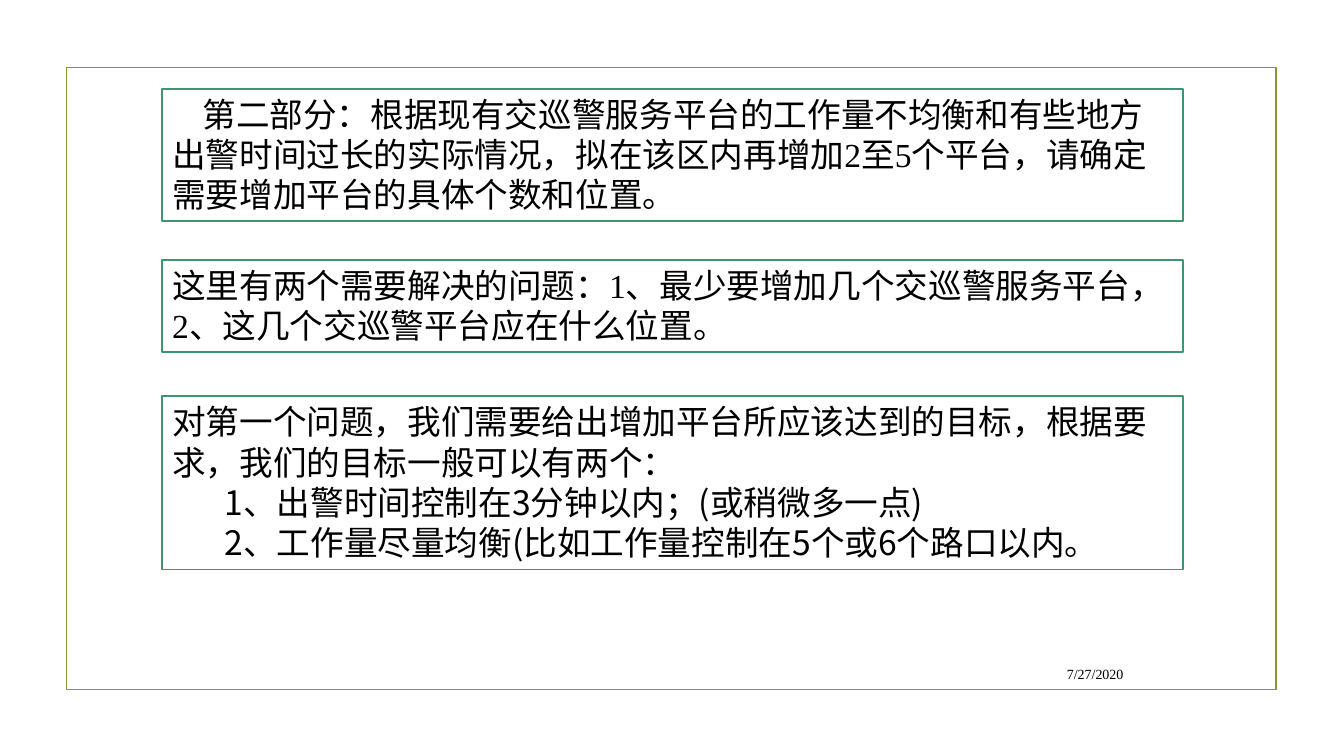
from dataclasses import dataclass

from lxml.etree import SubElement
from pptx import Presentation
from pptx.dml.color import RGBColor
from pptx.enum.shapes import MSO_SHAPE
from pptx.enum.text import MSO_ANCHOR, PP_ALIGN
from pptx.oxml.ns import qn
from pptx.util import Inches, Pt


@dataclass(frozen=True)
class Theme:
    frame: RGBColor = RGBColor.from_string("83992A")
    border: RGBColor = RGBColor.from_string("3C9770")
    paper: RGBColor = RGBColor.from_string("FFFFFF")
    ink: RGBColor = RGBColor.from_string("000000")
    serif: str = "Times New Roman"
    sans: str = "Noto Sans CJK JP"
    body_size: float = 24
    date_size: float = 10
    line_width: float = 1.25


THEME = Theme()
PANEL_LEFT, PANEL_WIDTH = 1.61, 10.12

# Each panel: top, height, Latin font, paragraphs as (first-line indent, text)
PANELS = [
    (0.88, 1.31, THEME.serif, [
        (0.3, "第二部分：根据现有交巡警服务平台的工作量不均衡和有些地方出警时间过长的实际情况，"
              "拟在该区内再增加2至5个平台，请确定需要增加平台的具体个数和位置。"),
    ]),
    (2.58, 0.91, THEME.serif, [
        (0, "这里有两个需要解决的问题：1、最少要增加几个交巡警服务平台，"
            "2、这几个交巡警平台应在什么位置。"),
    ]),
    (3.93, 1.72, THEME.sans, [
        (0, "对第一个问题，我们需要给出增加平台所应该达到的目标，根据要求，"
            "我们的目标一般可以有两个："),
        (0.52, "1、出警时间控制在3分钟以内；(或稍微多一点)"),
        (0.52, "2、工作量尽量均衡(比如工作量控制在5个或6个路口以内。"),
    ]),
]


def style_run(r, font, size):
    r.font.name = font
    r.font.size = Pt(size)
    r.font.color.rgb = THEME.ink
    SubElement(r.font._element, qn("a:ea")).set("typeface", THEME.sans)


def add_outlined_box(s, left, top, width, height, color):
    sp = s.shapes.add_shape(MSO_SHAPE.RECTANGLE, Inches(left), Inches(top),
                            Inches(width), Inches(height))
    sp.shadow.inherit = False
    sp.line.color.rgb = color
    sp.line.width = Pt(THEME.line_width)
    return sp


def add_frame(s, left, top, width, height):
    sp = add_outlined_box(s, left, top, width, height, THEME.frame)
    sp.fill.background()


def add_panel(s, left, top, width, height, font, paragraphs):
    sp = add_outlined_box(s, left, top, width, height, THEME.border)
    sp.fill.solid()
    sp.fill.fore_color.rgb = THEME.paper
    tf = sp.text_frame
    tf.word_wrap = True
    tf.vertical_anchor = MSO_ANCHOR.TOP
    tf.text = "\n".join(text for _, text in paragraphs)
    for p, (indent, _) in zip(tf.paragraphs, paragraphs):
        p.alignment = PP_ALIGN.LEFT
        pPr = p._p.get_or_add_pPr()
        pPr.set("marL", "0")
        pPr.set("indent", str(Inches(indent)))
        style_run(p.runs[0], font, THEME.body_size)


def add_date(s, left, top, width, height):
    sp = s.shapes.add_textbox(Inches(left), Inches(top), Inches(width), Inches(height))
    tf = sp.text_frame
    tf.word_wrap = True
    tf.vertical_anchor = MSO_ANCHOR.MIDDLE
    tf.text = "7/27/2020"
    p = tf.paragraphs[0]
    p.alignment = PP_ALIGN.RIGHT
    style_run(p.runs[0], THEME.serif, THEME.date_size)


def main():
    prs = Presentation()
    prs.slide_width, prs.slide_height = Inches(13.33), Inches(7.5)
    s = prs.slides.add_slide(prs.slide_layouts[6])
    add_frame(s, 0.66, 0.67, 12, 6.17)
    add_date(s, 9.49, 6.53, 1.75, 0.31)
    for top, height, font, paragraphs in PANELS:
        add_panel(s, PANEL_LEFT, top, PANEL_WIDTH, height, font, paragraphs)
    prs.save("out.pptx")


if __name__ == "__main__":
    main()
